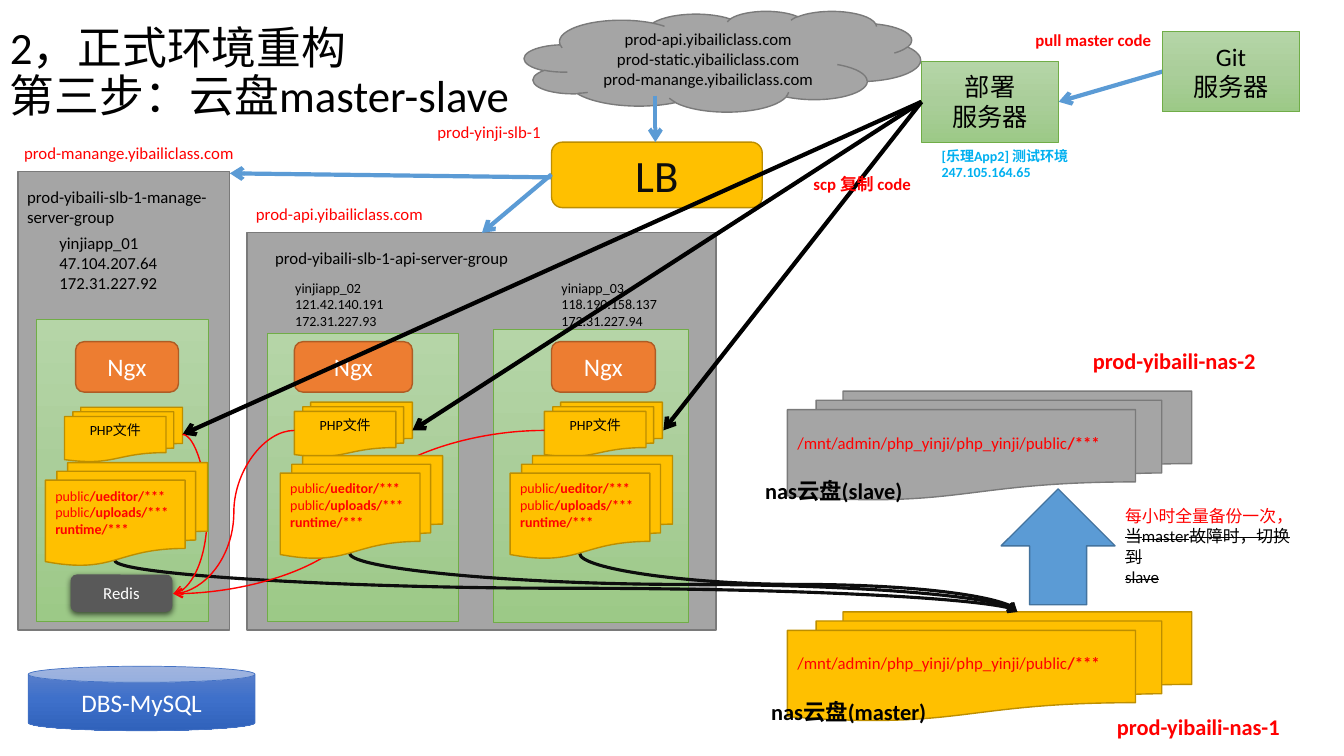
from copy import deepcopy
from pptx import Presentation
from pptx.dml.color import RGBColor as Rgb
from pptx.enum.shapes import MSO_CONNECTOR as Link, MSO_SHAPE as Form
from pptx.enum.text import MSO_ANCHOR as Anchor, PP_ALIGN as Align
from pptx.oxml.ns import qn
from pptx.oxml import parse_xml
from pptx.util import Inches, Pt

GREY, GOLD, BLUE, RED, BLACK = "A5A5A5", "FFC000", "5B9BD5", "FF0000", "000000"
GREEN = ("B5D5A7", "AACE9A", "9CC987")
NAVY = ("6183CB", "3E70CA", "3062BB")
EDGE = {GREY: "7A7A7A", GOLD: "BD8E00", BLUE: "43739E", "ED7D31": "AF5C24",
        GREEN: "70AD47", NAVY: "4472C4"}
SHADE = ('<a:effectLst xmlns:a="http://schemas.openxmlformats.org/drawingml/2006/main">'
         '<a:outerShdw blurRad="57150" dist="19050" dir="5400000" algn="ctr" rotWithShape="0">'
         '<a:srgbClr val="000000"><a:alpha val="63000"/></a:srgbClr>'
         '</a:outerShdw></a:effectLst>')


def tint(code):
    return Rgb.from_string(code)


class Board:
    font = "Calibri"
    cols, rows = 13.33, 7.5

    def __init__(self):
        self.deck = Presentation()
        self.deck.slide_width = Inches(self.cols)
        self.deck.slide_height = Inches(self.rows)
        self.cell = self.deck.slide_width / self.cols
        self.slide = self.deck.slides.add_slide(self.deck.slide_layouts[6])
        self.shapes = self.slide.shapes

    def grid(self, *spots):
        return [round(spot * self.cell) for spot in spots]

    def words(self, frame, lines, size, color=BLACK, align=Align.LEFT, space=None, **style):
        for i, line in enumerate(lines):
            para = frame.paragraphs[0] if i == 0 else frame.add_paragraph()
            para.alignment, para.line_spacing = align, space
            for text, extra in [(line, {})] if isinstance(line, str) else line:
                look = {"name": self.font, "size": Pt(size), **style, **extra}
                run = para.add_run()
                run.text = text
                run.font.color.rgb = tint(look.pop("color", color))
                if look.pop("strike", False):
                    run._r.get_or_add_rPr().set("strike", "sngStrike")
                for key, value in look.items():
                    setattr(run.font, key, value)

    def label(self, spot, lines, size=12, wrap=False, anchor=Anchor.TOP, **style):
        frame = self.shapes.add_textbox(*self.grid(*spot)).text_frame
        frame.word_wrap, frame.vertical_anchor = wrap, anchor
        self.words(frame, lines, size, **style)

    def box(self, form, spot, fill, lines=(), size=18, align=Align.CENTER, lift=0, **style):
        shape = self.shapes.add_shape(form, *self.grid(*spot))
        shape.shadow.inherit = False
        if isinstance(fill, tuple):
            self.blend(shape, fill)
        else:
            shape.fill.solid()
            shape.fill.fore_color.rgb = tint(fill)
        if fill in EDGE:
            shape.line.color.rgb = tint(EDGE[fill])
            shape.line.width = Pt(0.5 if isinstance(fill, tuple) else 1)
        else:
            shape.line.fill.background()
        frame = shape.text_frame
        frame.vertical_anchor = Anchor.MIDDLE
        frame.margin_bottom = Inches(0.05) + Pt(lift * 1.22)
        self.words(frame, lines, size, align=align, **style)
        return shape

    def blend(self, shape, tones):
        shape.fill.gradient()
        shape.fill.gradient_angle = 270
        stops = shape._element.spPr.find(qn("a:gradFill")).find(qn("a:gsLst"))
        stops.append(deepcopy(stops[0]))
        for i, (stop, tone) in enumerate(zip(shape.fill.gradient_stops, tones)):
            stop.color.rgb = tint(tone)
            stop.position = i / 2

    def arrow(self, start, end, color=BLUE, width=3, kind=Link.STRAIGHT):
        wire = self.shapes.add_connector(kind, *self.grid(*start, *end))
        wire.line.color.rgb = tint(color)
        wire.line.width = Pt(width)
        props = wire._element.spPr
        tip = props.get_or_add_ln().makeelement(qn("a:tailEnd"), {"type": "arrow"})
        props.get_or_add_ln().append(tip)
        props.append(props.makeelement(qn("a:effectLst"), {}))
        return props

    def curve(self, start, end, bend, color, width, down=False):
        if down:
            (x1, y1), (x2, y2) = start, end
            mid, row = (x1 + x2) / 2, (y1 + y2) / 2
            wide, high = (y2 - y1) / 2, (x2 - x1) / 2
            start, end = (mid - wide, row + high), (mid + wide, row - high)
        props = self.arrow(start, end, color, width, Link.CURVE)
        if down:
            props.find(qn("a:xfrm")).set("rot", "5400000")
        geom = props.find(qn("a:prstGeom"))
        guide = geom.makeelement(qn("a:gd"), {"name": "adj1", "fmla": f"val {round(bend * 100000)}"})
        geom.find(qn("a:avLst")).append(guide)

    def stack(self, spot, fill, lines, size, align=Align.LEFT, color=RED):
        self.box(Form.FLOWCHART_MULTIDOCUMENT, spot, fill, lines, size, align, lift=size, color=color)


BOLD = {"bold": True}
HOSTS = [
    {"pane": (0.36, 3.17, 1.71, 2.99), "ngx": (0.75, 1.02), "php": (0.64, 4.04),
     "docs": (0.45, 4.59), "note": (0.49, 2.26, 1.47, 0.91), "size": 12,
     "lines": ["yinjiapp_01", "47.104.207.64", "172.31.227.92"],
     "tail": (1.14, 5.56), "bend": 0.54, "turn": -2.72},
    {"pane": (2.65, 3.31, 1.9, 2.85), "ngx": (2.92, 1.17), "php": (2.92, 3.99),
     "docs": (2.78, 4.52), "note": (2.83, 2.72, 1.26, 0.77), "size": 10,
     "lines": ["yinjiapp_02", "121.42.140.191", "172.31.227.93"],
     "tail": (3.47, 5.49), "bend": 0.53, "turn": 0.5},
    {"pane": (4.89, 3.27, 1.94, 2.9), "ngx": (5.47, 1.03), "php": (5.4, 3.99),
     "docs": (5.06, 4.52), "note": (5.47, 2.72, 1.38, 0.6), "size": 10,
     "lines": ["yiniapp_03", "118.190.158.137", "172.31.227.94"],
     "tail": (5.75, 5.49), "bend": 0.53, "turn": 0.5},
]
DOCS = [[("public", {}), ("/ueditor/***", BOLD)],
        [("public", {}), ("/uploads/***", BOLD)],
        [("runtime/***", BOLD)]]
MOUNT = [[("/mnt/admin/php_yinji/php_yinji/public", {}), ("/***", BOLD)]]


def main():
    b = Board()
    b.box(Form.RECTANGLE, (2.45, 2.31, 4.65, 3.94), GREY)
    b.box(Form.RECTANGLE, (0.18, 1.7, 2.1, 4.55), GREY)
    b.label((0, 0.01, 8.05, 1.45), ["2，正式环境重构", "第三步：云盘master-slave"], 32,
            True, Anchor.MIDDLE, space=0.9)
    b.box(Form.CLOUD, (5.2, 0.11, 3.93, 1), GREY,
          [f"prod-{name}.yibailiclass.com" for name in ("api", "static", "manange")], 12)
    b.box(Form.ROUNDED_RECTANGLE, (5.47, 1.41, 2.09, 0.65), GOLD, ["LB"], 32, color="0D0D0D")
    b.box(Form.CAN, (0.28, 6.61, 2.25, 0.64), NAVY, ["DBS-MySQL"], color="FFFFFF")
    for start, end in [((6.5, 0.95), (6.5, 1.41)), ((5.47, 1.76), (2.28, 1.72)),
                       ((5.47, 1.73), (4.78, 2.31)), ((11.53, 0.71), (10.5, 1.01))]:
        b.arrow(start, end)

    for host in HOSTS:
        b.box(Form.RECTANGLE, host["pane"], GREEN)
        left, wide = host["ngx"]
        b.box(Form.ROUNDED_RECTANGLE, (left, 3.39, wide, 0.5), "ED7D31", ["Ngx"], color="FFFFFF")
        b.label(host["note"], host["lines"], host["size"], True)
        b.stack((*host["php"], 1.17, 0.54), GOLD, ["PHP文件"], 10, Align.CENTER, BLACK)
    b.label((2.63, 2.41, 3.36, 0.71), ["prod-yibaili-slb-1-api-server-group"], wrap=True)
    b.label((0.17, 1.8, 2.1, 0.84), ["prod-yibaili-slb-1-manage-server-group"], wrap=True)

    b.stack((7.81, 6.07, 4.01, 1.08), GOLD, MOUNT, 12)
    for host in HOSTS:
        b.curve(host["tail"], (10.09, 6.07), host["bend"], "0D0D0D", 2.25, True)
    redis = b.box(Form.ROUNDED_RECTANGLE, (0.7, 5.7, 1.01, 0.37), "595959", ["Redis"], 12,
                  color="FFFFFF")
    props = redis._element.spPr
    props.replace(props.find(qn("a:effectLst")), parse_xml(SHADE))

    b.box(Form.RECTANGLE, (9.14, 0.61, 1.36, 0.8), GREEN, ["部署", "服务器"])
    b.box(Form.RECTANGLE, (11.53, 0.31, 1.36, 0.8), GREEN, ["Git", "服务器"])
    for host, end in zip(HOSTS, [(1.81, 4.31), (4.09, 4.27), (6.58, 4.27)]):
        b.arrow((9.14, 1.01), end, BLACK)
        start = end if host is HOSTS[0] else (host["php"][0], 4.27)
        b.curve(start, (1.72, 5.89), host["turn"], RED, 1)
    for host in HOSTS:
        b.stack((*host["docs"], 1.61, 1.02), GOLD, DOCS, 10)

    for spot, text in [((4.24, 1.16, 1.23, 0.3), "prod-yinji-slb-1"),
                       ((0.14, 1.37, 2.28, 0.3), "prod-manange.yibailiclass.com"),
                       ((2.44, 1.97, 1.86, 0.3), "prod-api.yibailiclass.com")]:
        b.label(spot, [text], color=RED)
    b.label((10.17, 0.25, 1.35, 0.3), ["pull master code"], color=RED, bold=True)
    b.label((7.97, 1.67, 1.17, 0.3), ["scp 复制 code"], wrap=True, color=RED, bold=True)
    b.label((9.24, 1.41, 1.51, 0.44), ["[乐理App2] 测试环境 247.105.164.65"], 10, True,
            color="00B0F0", bold=True)

    b.stack((7.81, 3.88, 4.01, 1.08), GREY, MOUNT, 12)
    for spot, text in [((10.74, 3.39, 1.82, 0.37), "prod-yibaili-nas-2"),
                       ((10.98, 7.03, 1.82, 0.37), "prod-yibaili-nas-1")]:
        b.label(spot, [text], 16, color=RED, bold=True)
    for spot, text in [((7.55, 6.88, 1.74, 0.37), "nas云盘(master)"),
                       ((7.49, 4.68, 1.57, 0.37), "nas云盘(slave)")]:
        b.label(spot, [text], 16, True, bold=True)
    b.box(Form.UP_ARROW, (9.93, 4.85, 1.13, 1.15), BLUE)
    b.label((11.06, 4.97, 2, 0.91),
            [[("每小时全量备份一次，", {"color": RED})],
             [("当master故障时，切换到", {"strike": True})],
             [("slave", {"strike": True})]], wrap=True)
    b.deck.save("out.pptx")


if __name__ == "__main__":
    main()
